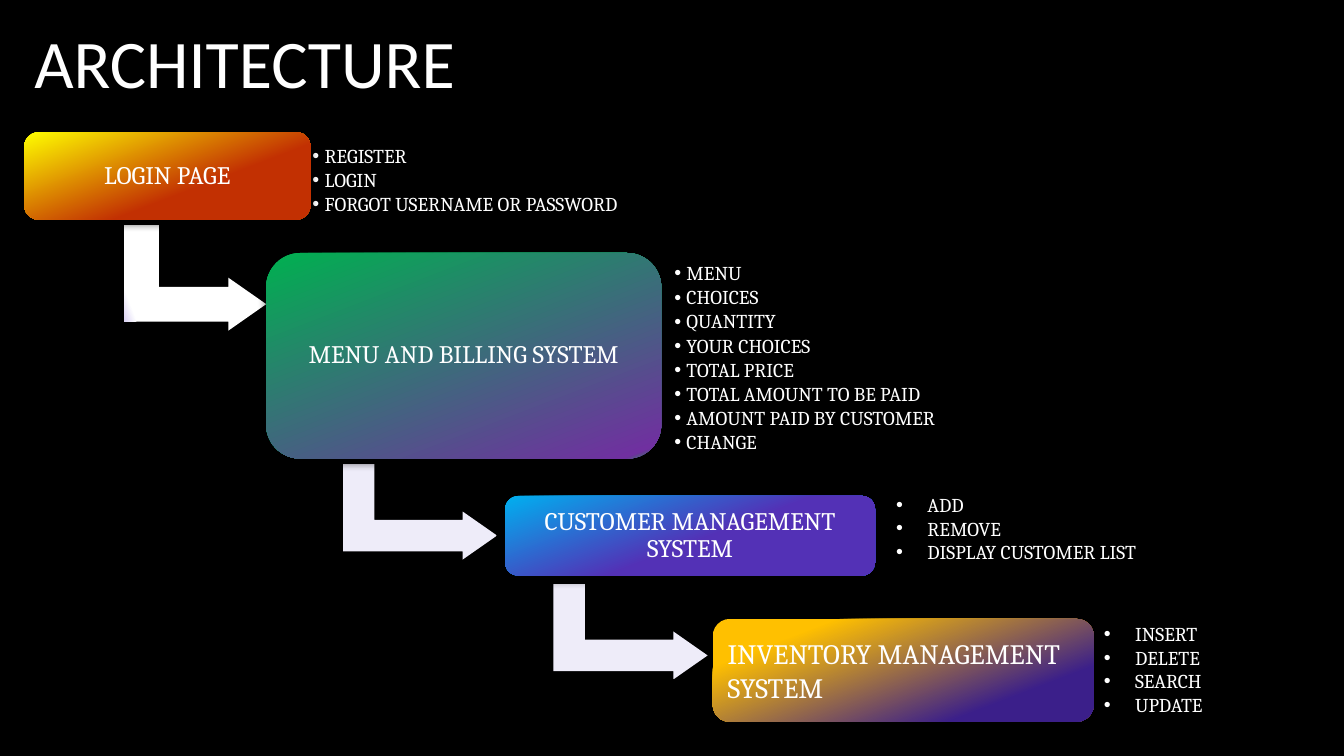
"""Build the architecture slide: four staggered stages joined by bent arrows."""
from dataclasses import dataclass

from lxml.etree import SubElement
from pptx import Presentation
from pptx.dml.color import RGBColor
from pptx.enum.shapes import MSO_SHAPE
from pptx.enum.text import MSO_ANCHOR, MSO_AUTO_SIZE, PP_ALIGN
from pptx.oxml.ns import qn
from pptx.util import Inches, Pt

CARD, ARROW = MSO_SHAPE.ROUNDED_RECTANGLE, MSO_SHAPE.BENT_UP_ARROW
LEFT, CENTER = PP_ALIGN.LEFT, PP_ALIGN.CENTER
TOP, MIDDLE, BOTTOM = MSO_ANCHOR.TOP, MSO_ANCHOR.MIDDLE, MSO_ANCHOR.BOTTOM
NO_AUTOFIT = MSO_AUTO_SIZE.NONE
COMPARISON_LAYOUT = 4

WIDTH, HEIGHT = Inches(13.333), Inches(7.5)
COLUMN, ROW = WIDTH / 100, HEIGHT / 100
HEADING_FONT, BODY_FONT = "Calibri", "Cambria"

BLACK = RGBColor(0x00, 0x00, 0x00)
WHITE = RGBColor(0xFF, 0xFF, 0xFF)
LILAC = RGBColor(0xD2, 0xC7, 0xF2)
PALE = RGBColor(0xEE, 0xEC, 0xF9)
GREY = RGBColor(0x9F, 0x9C, 0xB0)
YELLOW = RGBColor(0xFF, 0xFF, 0x00)
RUST = RGBColor(0xC2, 0x30, 0x02)
GREEN = RGBColor(0x00, 0xB0, 0x50)
PURPLE = RGBColor(0x70, 0x30, 0xA0)
BRIGHT_GREEN = RGBColor(0x1A, 0xBC, 0x42)
SKY = RGBColor(0x00, 0xB0, 0xF0)
VIOLET = RGBColor(0x53, 0x31, 0xB6)
AMBER = RGBColor(0xFF, 0xC0, 0x00)
INDIGO = RGBColor(0x3B, 0x1F, 0x8A)


@dataclass(frozen=True)
class Area:
    """A rectangle in columns and rows, each a hundredth of the slide."""
    column: float
    row: float
    columns: float
    rows: float

    def box(self) -> tuple[int, int, int, int]:
        """Return left, top, width and height in EMU."""
        return (round(self.column * COLUMN), round(self.row * ROW),
                round(self.columns * COLUMN), round(self.rows * ROW))


@dataclass(frozen=True)
class Gradient:
    """Colour stops in percent and the direction in degrees."""
    stops: tuple[tuple[int, RGBColor], ...]
    angle: int = 69


@dataclass(frozen=True)
class TextStyle:
    """Size, alignment and spacing of a block of text."""
    size: float
    align: PP_ALIGN
    anchor: MSO_ANCHOR
    line_spacing: float = 1.0
    space_after: float = 0
    font: str = BODY_FONT
    inset: tuple[float, float] = (0.1, 0.05)
    indent: float = 0


@dataclass(frozen=True)
class Stage:
    """A card with its label and the list of its functions."""
    label: str
    card: Area
    gradient: Gradient
    label_style: TextStyle
    functions: tuple[str, ...]
    list_area: Area
    list_style: TextStyle


@dataclass(frozen=True)
class Step:
    """A bent arrow leading to the next stage."""
    area: Area
    gradient: Gradient


TITLE_STYLE = TextStyle(48.6, LEFT, BOTTOM, 0.8, font=HEADING_FONT)
LABEL = TextStyle(18, CENTER, MIDDLE, 0.9, inset=(0.11, 0.11))
LARGE_LABEL = TextStyle(20, LEFT, MIDDLE)
TIGHT_LIST = TextStyle(14, LEFT, MIDDLE, 0.9, 2.1, inset=(0.06, 0.06), indent=0.12)
WIDE_LIST = TextStyle(14, LEFT, TOP, indent=0.31)
PALE_STOPS = ((100, PALE), (100, GREY), (100, GREY))

STAGES = (
    Stage("LOGIN PAGE", Area(1.8, 17.47, 21.3, 11.6),
          Gradient(((0, YELLOW), (62, RUST), (100, RUST))), LABEL,
          ("REGISTER", "LOGIN", "FORGOT USERNAME OR PASSWORD"),
          Area(22.8, 19.6, 36.08, 8.67), TIGHT_LIST),
    Stage("MENU AND BILLING SYSTEM", Area(19.8, 33.47, 29.4, 27.2),
          Gradient(((0, GREEN), (96, PURPLE), (100, BRIGHT_GREEN))), LABEL,
          ("MENU", "CHOICES", "QUANTITY", "YOUR CHOICES", "TOTAL PRICE",
           "TOTAL AMOUNT TO BE PAID", "AMOUNT PAID BY CUSTOMER", "CHANGE"),
          Area(49.73, 38.8, 39.45, 17.33), TIGHT_LIST),
    Stage("CUSTOMER MANAGEMENT SYSTEM", Area(37.58, 65.6, 27.53, 10.53),
          Gradient(((0, SKY), (54, VIOLET), (100, VIOLET))), LABEL,
          ("ADD", "REMOVE", "DISPLAY CUSTOMER LIST"),
          Area(65.93, 64.53, 25.95, 13.87), WIDE_LIST),
    Stage("INVENTORY MANAGEMENT SYSTEM", Area(53.03, 81.87, 28.35, 13.6),
          Gradient(((19, AMBER), (78, INDIGO))), LARGE_LABEL,
          ("INSERT", "DELETE", "SEARCH", "UPDATE"),
          Area(81.38, 81.6, 15.98, 13.87), WIDE_LIST),
)
STEPS = (
    Step(Area(10.58, 27.33, 7.88, 18.8), Gradient(((91, WHITE), (100, LILAC)))),
    Step(Area(27.68, 57.47, 7.13, 20.4), Gradient(PALE_STOPS)),
    Step(Area(43.35, 73.33, 7.13, 20.4), Gradient(PALE_STOPS, angle=0)),
)


def write(holder, lines: tuple[str, ...], style: TextStyle) -> None:
    """Fill a shape or placeholder with styled paragraphs."""
    frame = holder.text_frame
    frame.text = "\n".join(lines)
    frame.word_wrap = True
    frame.auto_size = NO_AUTOFIT
    frame.vertical_anchor = style.anchor
    frame.margin_left = frame.margin_right = Inches(style.inset[0])
    frame.margin_top = frame.margin_bottom = Inches(style.inset[1])
    for paragraph in frame.paragraphs:
        paragraph.alignment = style.align
        paragraph.line_spacing = style.line_spacing
        paragraph.space_before = Pt(0)
        paragraph.space_after = Pt(style.space_after)
        if style.indent:
            properties = paragraph._p.get_or_add_pPr()
            properties.set("marL", str(Inches(style.indent)))
            properties.set("indent", str(-Inches(style.indent)))
            SubElement(properties, qn("a:buFont"), typeface="Arial")
            SubElement(properties, qn("a:buChar"), char="•")
        for run in paragraph.runs:
            run.font.name = style.font
            run.font.size = Pt(style.size)
            run.font.bold = False
            run.font.color.rgb = WHITE


def place(holder, area: Area) -> None:
    """Move a placeholder to an area."""
    holder.left, holder.top, holder.width, holder.height = area.box()


def draw(slide, preset: MSO_SHAPE, area: Area, gradient: Gradient):
    """Add a borderless gradient shape with a soft shadow."""
    shape = slide.shapes.add_shape(preset, *area.box())
    shape.line.fill.background()
    shape.fill.gradient()
    properties = shape._element.spPr
    stops = properties.find(".//" + qn("a:gsLst"))
    stops.clear()
    for percent, color in gradient.stops:
        stop = SubElement(stops, qn("a:gs"), pos=str(percent * 1000))
        SubElement(stop, qn("a:srgbClr"), val=str(color))
    properties.find(".//" + qn("a:lin")).set("ang", str(gradient.angle * 60000))
    shape.shadow.inherit = False
    shadow = SubElement(properties.find(qn("a:effectLst")), qn("a:outerShdw"),
                        blurRad=str(Pt(6)), dist=str(Pt(3)), dir="5400000",
                        rotWithShape="0")
    shade = SubElement(shadow, qn("a:srgbClr"), val=str(BLACK))
    SubElement(shade, qn("a:alpha"), val="60000")
    return shape


def main() -> None:
    """Draw the slide and save it."""
    deck = Presentation()
    deck.slide_width, deck.slide_height = WIDTH, HEIGHT
    slide = deck.slides.add_slide(deck.slide_layouts[COMPARISON_LAYOUT])
    slide.background.fill.solid()
    slide.background.fill.fore_color.rgb = BLACK
    title, *function_lists = slide.placeholders
    place(title, Area(1.8, 3.33, 78.75, 10.8))
    write(title, ("ARCHITECTURE",), TITLE_STYLE)
    for step in STEPS:
        arrow = draw(slide, ARROW, step.area, step.gradient)
        arrow.rotation = 90
        for index, share in enumerate((0.328, 0.25, 0.358)):
            arrow.adjustments[index] = share
    for stage, function_list in zip(STAGES, function_lists):
        card = draw(slide, CARD, stage.card, stage.gradient)
        write(card, (stage.label,), stage.label_style)
        place(function_list, stage.list_area)
        write(function_list, stage.functions, stage.list_style)
    deck.save("out.pptx")


if __name__ == "__main__":
    main()
